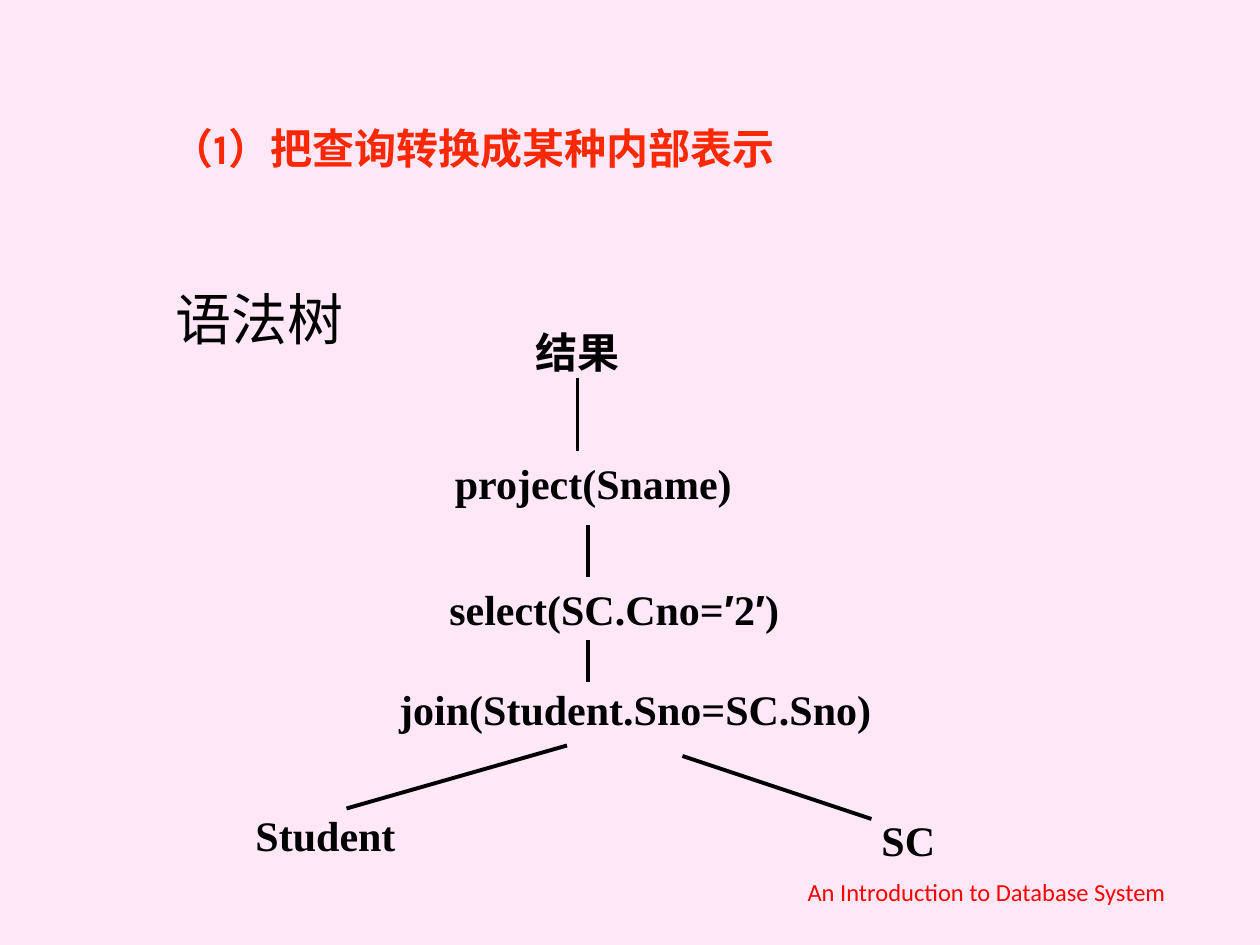
from lxml import etree
from pptx import Presentation
from pptx import util as u
from pptx.dml.color import RGBColor
from pptx.enum import shapes, text
from pptx.oxml.ns import qn

COLORS = {"background": "FEE8F7", "heading": "FB2805", "ink": "000000", "footer": "FF0000"}
SERIF, SANS, BODY, FOOTER = "Times New Roman", "Arial", "Karla", "Calibri"

# Boxes are left, top, width, height in points
TITLE = ("（1）把查询转换成某种内部表示", (90.7, 12.2, 613.4, 90))
SUBTITLE = ("语法树", (93.2, 159.1, 612, 324))
FOOTNOTE = ("An Introduction to Database System", (437.8, 485.3, 252, 36))

# Tree nodes: runs of (wording, font), then the box
NODES = [
    ([("结果", SERIF)], (276, 180, 108, 42)),
    ([("project(Sname)", SERIF)], (255, 258, 168, 36)),
    ([("select(SC.Cno=", SERIF), ("′", SANS), ("2", SERIF), ("′", SANS), (")", SERIF)],
     (249, 324, 204, 48)),
    ([("join(Student.Sno=SC.Sno)", SERIF)], (225, 384, 276, 42)),
    ([("Student", SERIF)], (141, 456, 90, 42)),
    ([("SC", SERIF)], (474, 456, 90, 48)),
]

# Tree branches: start x, start y, end x, end y
BRANCHES = [
    (330, 216, 330, 258),
    (336, 300, 336, 330),
    (336, 366, 336, 390),
    (324, 426, 198, 462),
    (390, 432, 498, 468),
]


def color(name):
    return RGBColor.from_string(COLORS[name])


def add_text(slide, runs, box, size, ink="ink", bold=False, side_inset=7.2,
             anchor=text.MSO_ANCHOR.MIDDLE, align=text.PP_ALIGN.CENTER):
    frame = slide.shapes.add_textbox(*map(u.Pt, box)).text_frame
    frame.word_wrap = True
    frame.margin_left = frame.margin_right = u.Pt(side_inset)
    frame.vertical_anchor = anchor
    paragraph = frame.paragraphs[0]
    paragraph.alignment = align
    for wording, font_name in runs:
        run = paragraph.add_run()
        run.text = wording
        run.font.name = font_name
        run.font.size = u.Pt(size)
        run.font.bold = bold
        run.font.color.rgb = color(ink)


def add_branch(slide, ends):
    line = slide.shapes.add_connector(shapes.MSO_CONNECTOR.STRAIGHT, *map(u.Pt, ends))
    line.line.color.rgb = color("ink")
    line.line.width = u.Pt(2.25)
    etree.SubElement(line._element.spPr, qn("a:effectLst"))


def main():
    presentation = Presentation()
    presentation.slide_width, presentation.slide_height = u.Pt(720), u.Pt(540)
    slide = presentation.slides.add_slide(presentation.slide_layouts[6])
    slide.background.fill.solid()
    slide.background.fill.fore_color.rgb = color("background")

    # Headings
    wording, box = TITLE
    add_text(slide, [(wording, BODY)], box, 24, "heading", bold=True,
             anchor=text.MSO_ANCHOR.BOTTOM, align=text.PP_ALIGN.LEFT)
    wording, box = SUBTITLE
    add_text(slide, [(wording, BODY)], box, 32,
             anchor=text.MSO_ANCHOR.TOP, align=text.PP_ALIGN.JUSTIFY)

    # Syntax tree: no side insets, so each label stays on one line
    for runs, box in NODES:
        add_text(slide, runs, box, 24, bold=True, side_inset=0)
    for ends in BRANCHES:
        add_branch(slide, ends)

    # Footer
    wording, box = FOOTNOTE
    add_text(slide, [(wording, FOOTER)], box, 14, "footer", anchor=text.MSO_ANCHOR.BOTTOM)

    presentation.save("out.pptx")


if __name__ == "__main__":
    main()
